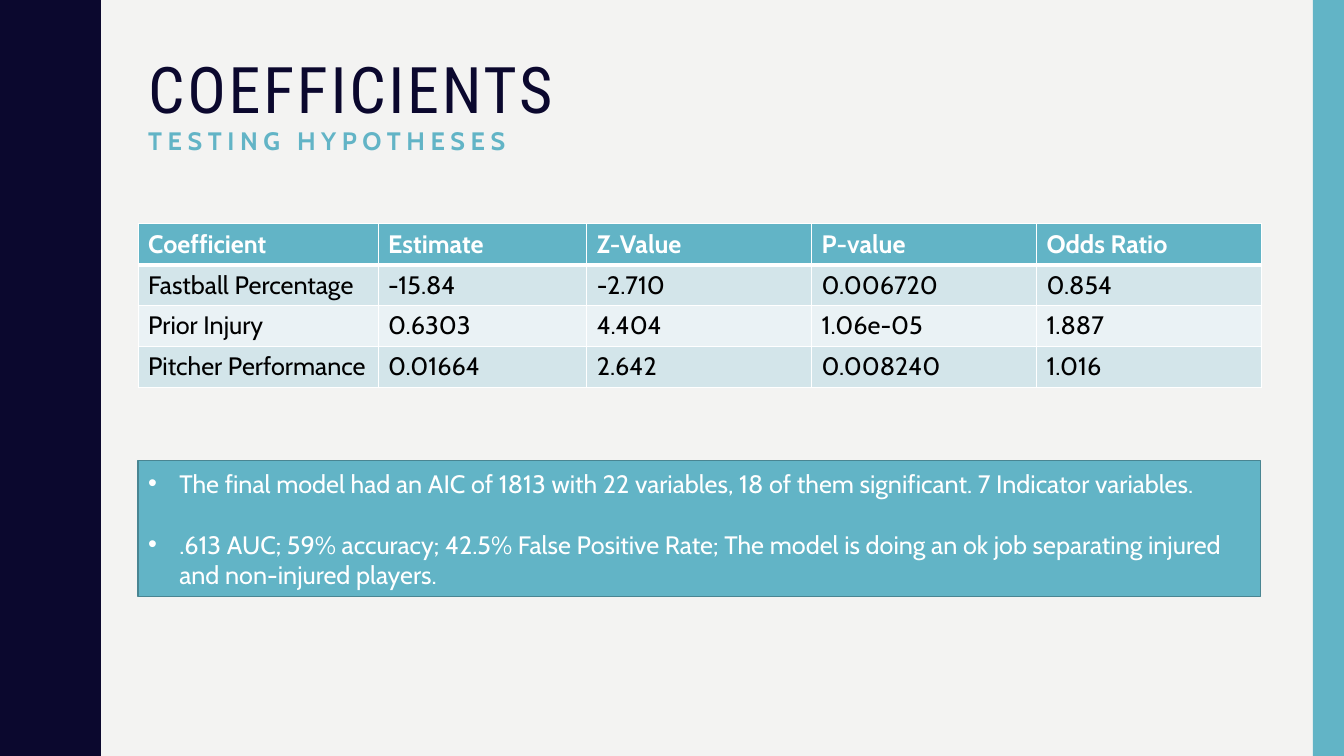
from lxml import etree
from pptx import Presentation
from pptx.dml.color import RGBColor
from pptx.enum.shapes import MSO_SHAPE
from pptx.enum.text import MSO_ANCHOR, PP_ALIGN
from pptx.oxml.ns import qn
from pptx.util import Inches, Pt

RECT = MSO_SHAPE.RECTANGLE
TOP, MIDDLE = MSO_ANCHOR.TOP, MSO_ANCHOR.MIDDLE
LEFT = PP_ALIGN.LEFT
TITLE_ONLY = 5
WIDTH, HEIGHT = 13.33, 7.5
HEAD_FONT, BODY_FONT = "Roboto Condensed", "Cabin"
COLORS = {
    "paper": "F3F3F2", "navy": "0B082E", "teal": "62B4C6", "edge": "498592",
    "band": "D3E5EA", "light": "EAF2F5", "white": "FFFFFF", "black": "000000",
}
# (x, y) from a trough of the wavy edge to the next crest
HALF_WAVE = [
    (0.78, 0), (0.78, 0.07), (0.79, 0.14), (0.8, 0.2), (0.81, 0.25),
    (0.83, 0.29), (0.85, 0.33), (0.87, 0.38), (0.89, 0.42), (0.91, 0.46),
    (0.93, 0.5), (0.95, 0.55), (0.96, 0.61), (0.97, 0.68), (0.97, 0.75),
]
PERIOD = 1.5
COLUMNS = [2.38, 2.07, 2.23, 2.23, 2.23]
ROWS = [
    ["Coefficient", "Estimate", "Z-Value", "P-value", "Odds Ratio"],
    ["Fastball Percentage", "-15.84", "-2.710", "0.006720", "0.854"],
    ["Prior Injury", "0.6303", "4.404", "1.06e-05", "1.887"],
    ["Pitcher Performance", "0.01664", "2.642", "0.008240", "1.016"],
]
FINDINGS = [
    "The final model had an AIC of 1813 with 22 variables, 18 of them "
    "significant. 7 Indicator variables.",
    ".613 AUC; 59% accuracy; 42.5% False Positive Rate; The model is doing "
    "an ok job separating injured and non-injured players.",
]


def rgb(name):
    return RGBColor.from_string(COLORS[name])


def box_lengths(box):
    return [Inches(v) for v in box]


def add_run(p, text, color, size=18, font=BODY_FONT, bold=False, spacing=0):
    r = p.add_run()
    r.text = text
    r.font.size, r.font.name, r.font.bold = Pt(size), font, bold
    r.font.color.rgb = rgb(color)
    if spacing:
        r.font._element.set("spc", str(spacing * 100))


def paint(sp, fill, line=None):
    sp.shadow.inherit = False
    sp.fill.solid()
    sp.fill.fore_color.rgb = rgb(fill)
    if line:
        sp.line.color.rgb = rgb(line)
        sp.line.width = Pt(1)
    else:
        sp.line.fill.background()


def add_wavy_edge(s):
    wave = HALF_WAVE + [(x, PERIOD - y) for x, y in HALF_WAVE[-2::-1]]
    points = [(x, y + i * PERIOD)
              for i in range(round(HEIGHT / PERIOD)) for x, y in wave]
    builder = s.shapes.build_freeform(0, 0, scale=Inches(1))
    builder.add_line_segments(points + [(0, HEIGHT)], close=True)
    paint(builder.convert_to_shape(), "navy")


def add_side_bar(s, box):
    paint(s.shapes.add_shape(RECT, *box_lengths(box)), "teal")


def set_title(s, box):
    sp = s.shapes.title
    sp.left, sp.top, sp.width, sp.height = box_lengths(box)
    tf = sp.text_frame
    tf.word_wrap = True
    tf.vertical_anchor = TOP
    tf.margin_top = Inches(0.12)
    p = tf.paragraphs[0]
    p.alignment = LEFT
    p.line_spacing = 0.95
    add_run(p, "COEFFICIENTS", "navy", 45.9, HEAD_FONT, spacing=2)
    p.add_line_break()
    add_run(p, "TESTING HYPOTHESES", "teal", bold=True, spacing=4)


def set_borders(cell, widths):
    """Draw white borders; widths maps a side (L, R, T, B) to points."""
    tcPr = cell._tc.get_or_add_tcPr()
    for side, width in widths.items():
        ln = etree.SubElement(tcPr, qn(f"a:ln{side}"), w=str(Pt(width)))
        fill = etree.SubElement(ln, qn("a:solidFill"))
        etree.SubElement(fill, qn("a:srgbClr"), val=COLORS["white"])


def add_coefficients(s, box):
    table = s.shapes.add_table(len(ROWS), len(COLUMNS), *box_lengths(box)).table
    table.first_row = table.horz_banding = False
    for column, width in zip(table.columns, COLUMNS):
        column.width = Inches(width)
    for i, values in enumerate(ROWS):
        header = i == 0
        table.rows[i].height = Inches(box[3] / len(ROWS))
        fill = "teal" if header else "band" if i % 2 else "light"
        for j, value in enumerate(values):
            cell = table.cell(i, j)
            set_borders(cell, {"L": 1, "R": 1, "T": 3 if i == 1 else 1,
                               "B": 3 if header else 1})
            cell.fill.solid()
            cell.fill.fore_color.rgb = rgb(fill)
            add_run(cell.text_frame.paragraphs[0], value,
                    "white" if header else "black", bold=header)


def add_findings(s, box):
    sp = s.shapes.add_shape(RECT, *box_lengths(box))
    paint(sp, "teal", "edge")
    tf = sp.text_frame
    tf.word_wrap = True
    tf.vertical_anchor = MIDDLE
    for i, text in enumerate(FINDINGS):
        p = tf.add_paragraph() if i else tf.paragraphs[0]
        p.alignment = LEFT
        if i:
            p.space_before = Pt(22)
        pPr = p._p.get_or_add_pPr()
        pPr.set("marL", str(Inches(0.31)))
        pPr.set("indent", str(Inches(-0.31)))
        etree.SubElement(pPr, qn("a:buFont"), typeface="Arial")
        etree.SubElement(pPr, qn("a:buChar"), char="•")
        add_run(p, text, "white")


def main():
    prs = Presentation()
    prs.slide_width, prs.slide_height = Inches(WIDTH), Inches(HEIGHT)
    s = prs.slides.add_slide(prs.slide_layouts[TITLE_ONLY])
    s.background.fill.solid()
    s.background.fill.fore_color.rgb = rgb("paper")
    left, width = 1.37, 11.13
    add_wavy_edge(s)
    add_side_bar(s, (WIDTH - 0.31, 0, 0.31, HEIGHT))
    set_title(s, (left, 0.42, width, 1.63))
    add_coefficients(s, (left, 2.22, width, 1.62))
    add_findings(s, (left, 4.57, width, 1.35))
    prs.save("out.pptx")


if __name__ == "__main__":
    main()
